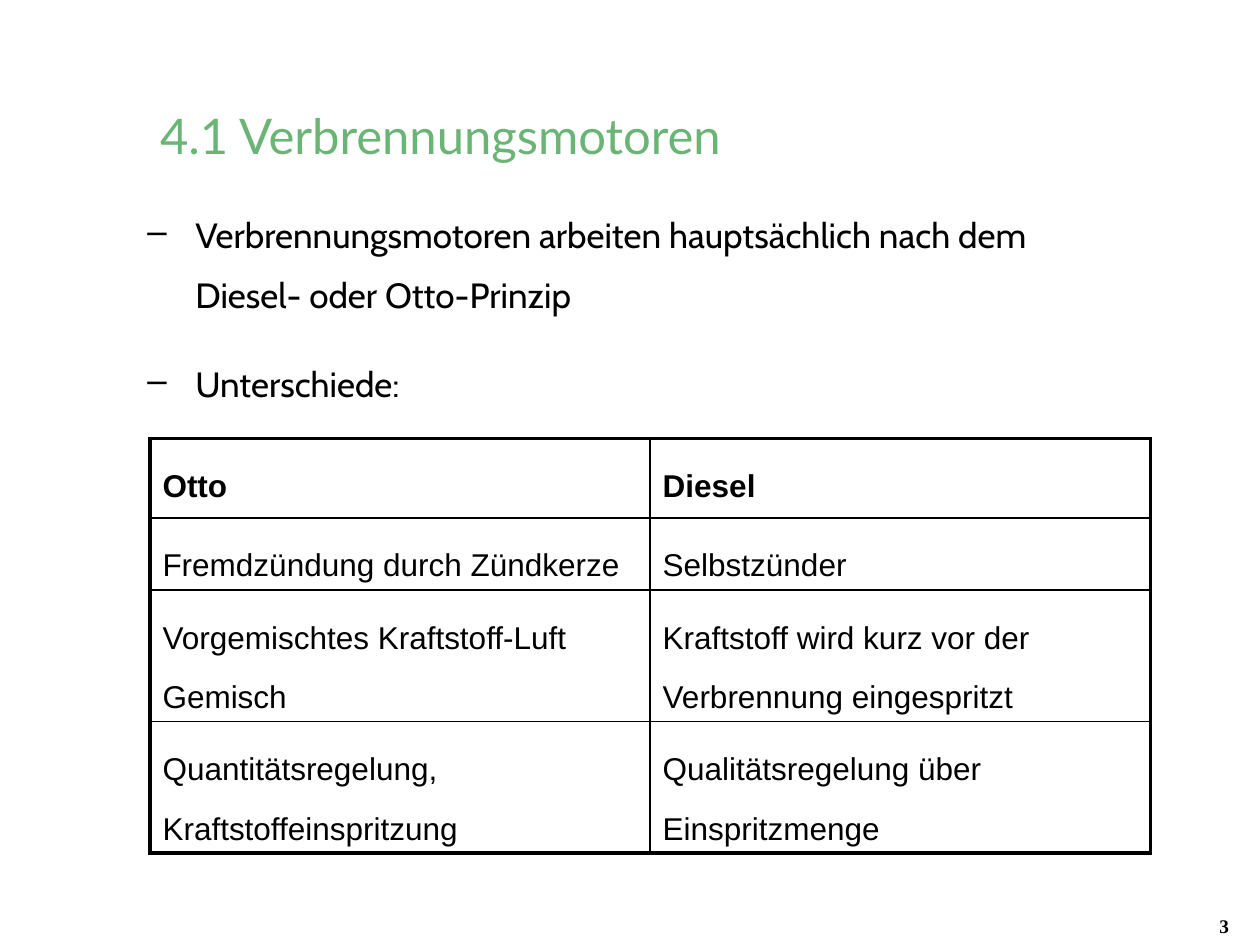
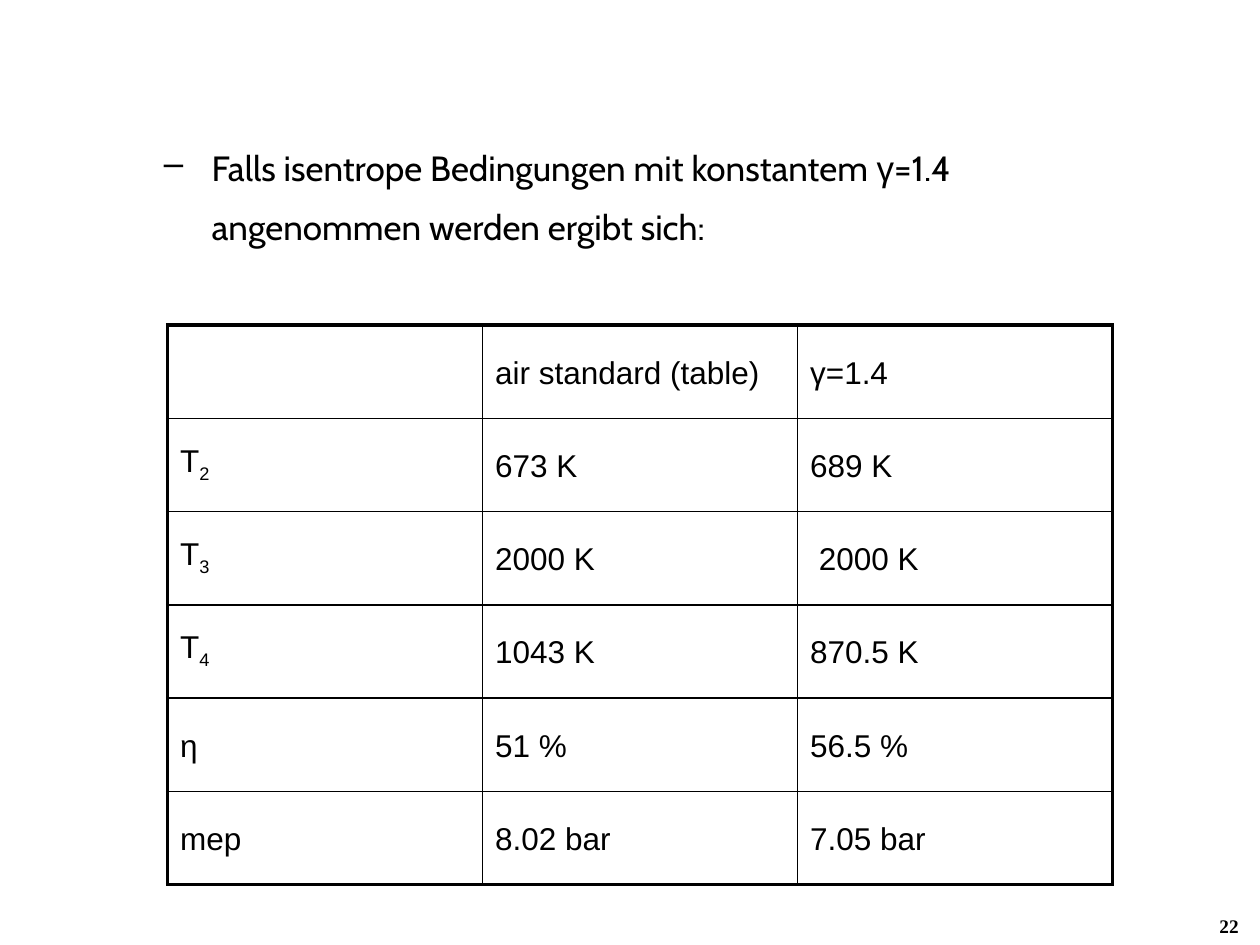
"""Builds two slides that compare the Otto and Diesel engine processes."""
from lxml.etree import SubElement
from pptx import Presentation
from pptx.dml.color import RGBColor
from pptx.enum.shapes import MSO_SHAPE
from pptx.enum.text import MSO_ANCHOR, MSO_AUTO_SIZE, PP_ALIGN
from pptx.oxml import parse_xml
from pptx.oxml.ns import nsdecls, qn
from pptx.util import Inches, Pt

BLACK, WHITE, GREEN = "000000", "FFFFFF", "6AB575"
THICK, THIN = Pt(2.25), Pt(1)


def ink(color, code):
    """Sets a colour from a hex string."""
    color.rgb = RGBColor.from_string(code)


def write(par, text, size, face, code=BLACK, bold=False):
    """Adds one formatted run and returns it."""
    run = par.add_run()
    run.text = text
    run.font.size, run.font.name, run.font.bold = Pt(size), face, bold
    ink(run.font.color, code)
    return run


deck = Presentation()
deck.slide_width, deck.slide_height = Inches(10), Inches(7.5)
col, row = deck.slide_width / 100, deck.slide_height / 100

pages = [
    {
        "title": "4.1 Verbrennungsmotoren",
        "number": "3",
        "body": (11.7, 20.8, 76.7, 73.7),
        "points": [
            [("Verbrennungsmotoren arbeiten hauptsächlich nach dem Diesel- oder Otto-Prinzip", "Cabin")],
            [("Unterschiede:", "Cabin")],
        ],
        "grid": (11.9, 46.4, 39.7, [8.4, 7.6, 13.9, 13.9]),
        "head": True,
        "cells": [
            ["Otto", "Diesel"],
            ["Fremdzündung durch Zündkerze", "Selbstzünder"],
            ["Vorgemischtes Kraftstoff-Luft Gemisch",
             "Kraftstoff wird kurz vor der Verbrennung eingespritzt"],
            ["Quantitätsregelung, Kraftstoffeinspritzung",
             "Qualitätsregelung über Einspritzmenge"],
        ],
    },
    {
        "title": None,
        "number": "22",
        "body": (13, 13.6, 76.7, 12.5),
        "points": [
            [("Falls isentrope Bedingungen mit konstantem ", "Cabin"), ("γ", "Arial"),
             ("=1.4 angenommen werden ergibt sich:", "Cabin")],
        ],
        "grid": (13.3, 34.4, 25, [9.87] * 6),
        "head": False,
        "cells": [
            ["", "air standard (table)", "γ=1.4"],
            ["T_2", "673 K", "689 K"],
            ["T_3", "2000 K", " 2000 K"],
            ["T_4", "1043 K", "870.5 K"],
            ["η", "51 %", "56.5 %"],
            ["mep", "8.02 bar", "7.05 bar"],
        ],
    },
]

for page in pages:
    slide = deck.slides.add_slide(deck.slide_layouts[5 if page["title"] else 6])

    tag = slide.shapes.add_textbox(
        int(95.8 * col), int(96.1 * row), int(4.2 * col), int(3.9 * row))
    tag.text_frame.word_wrap = True
    write(tag.text_frame.paragraphs[0], page["number"], 11, "Times New Roman", bold=True)

    if page["title"]:
        title = slide.shapes.title
        title.left, title.top = int(11.7 * col), int(11.1 * row)
        title.width, title.height = int(76.7 * col), int(6.3 * row)
        frame = title.text_frame
        frame.auto_size = MSO_AUTO_SIZE.NONE
        frame.vertical_anchor = MSO_ANCHOR.MIDDLE
        frame.paragraphs[0].alignment = PP_ALIGN.LEFT
        write(frame.paragraphs[0], page["title"], 28, "Lato", GREEN)

    left, top, width, height = page["body"]
    body = slide.shapes.add_shape(
        MSO_SHAPE.RECTANGLE,
        int(left * col), int(top * row), int(width * col), int(height * row))
    body.shadow.inherit = False
    body.fill.solid()
    ink(body.fill.fore_color, WHITE)
    body.line.fill.background()
    frame = body.text_frame
    frame.word_wrap = True
    frame.vertical_anchor = MSO_ANCHOR.TOP
    frame.margin_left = frame.margin_top = frame.margin_right = frame.margin_bottom = 0
    for i, point in enumerate(page["points"]):
        par = frame.add_paragraph() if i else frame.paragraphs[0]
        par.alignment = PP_ALIGN.LEFT
        par.line_spacing, par.space_before = Pt(34), Pt(17)
        props = par._p.get_or_add_pPr()
        props.set("marL", str(Inches(0.38)))
        props.set("indent", str(-Inches(0.38)))
        SubElement(SubElement(props, qn("a:buClr")), qn("a:srgbClr")).set("val", BLACK)
        SubElement(props, qn("a:buChar")).set("char", "–")
        for text, face in point:
            write(par, text, 20, face)

    left, top, width, rows = page["grid"]
    cells = page["cells"]
    count = len(cells[0])
    table = slide.shapes.add_table(
        len(rows), count, int(left * col), int(top * row),
        int(width * count * col), int(sum(rows) * row)).table
    table.first_row = table.horz_banding = False
    for item in table.columns:
        item.width = int(width * col)
    for r, line in enumerate(cells):
        table.rows[r].height = int(rows[r] * row)
        for c, text in enumerate(line):
            cell = table.cell(r, c)
            cell.fill.background()
            rims = {"L": c == 0, "R": c == count - 1, "T": r == 0, "B": r == len(rows) - 1}
            for i, (side, outer) in enumerate(rims.items()):
                cell._tc.get_or_add_tcPr().insert(i, parse_xml(
                    f'<a:ln{side} {nsdecls("a")} w="{THICK if outer else THIN}">'
                    f'<a:solidFill><a:srgbClr val="{BLACK}"/></a:solidFill></a:ln{side}>'))
            par = cell.text_frame.paragraphs[0]
            par.line_spacing, par.space_before = Pt(34), Pt(17)
            base, mark, sub = text.partition("_")
            if base:
                write(par, base, 18, "Arial", bold=page["head"] and r == 0)
            if mark:
                run = write(par, sub, 18, "Arial")
                run._r.get_or_add_rPr().set("baseline", "-25000")

deck.save("out.pptx")
